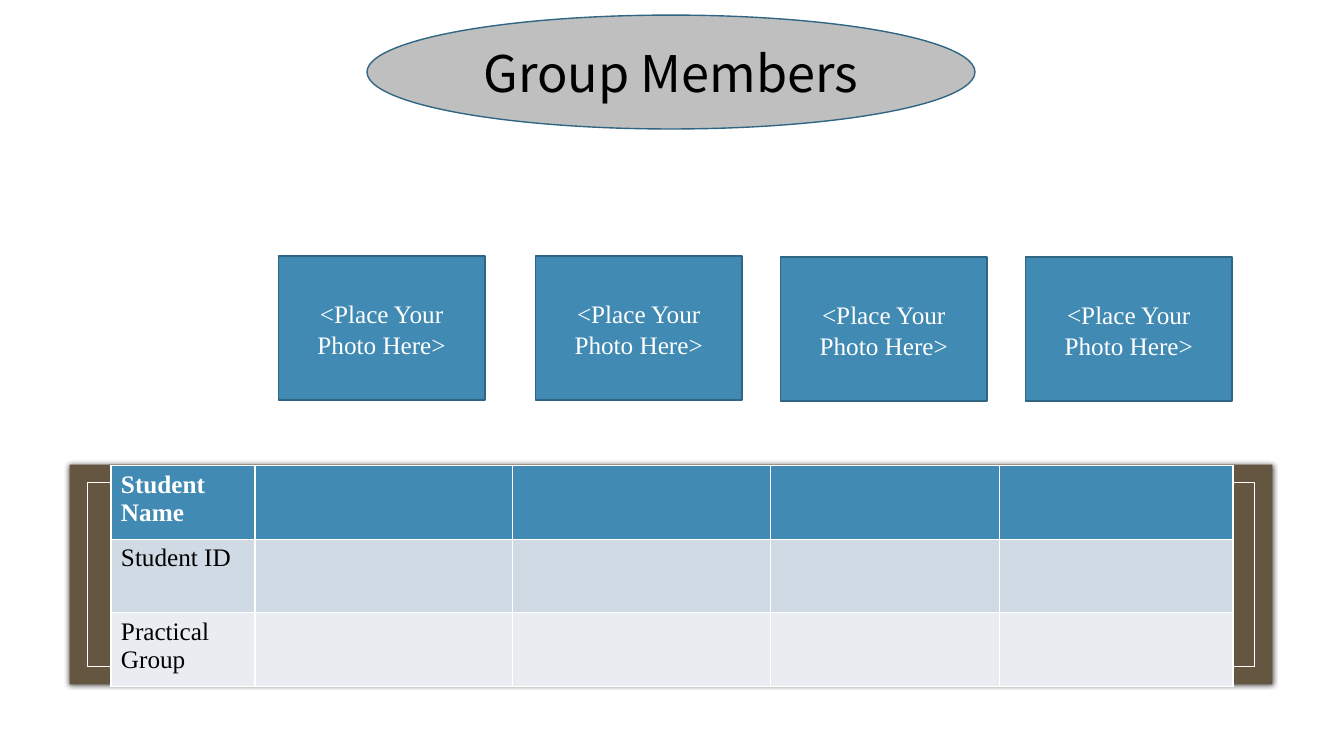
"""Build a slide that lists the members of a student group."""
from lxml import etree
from pptx import Presentation
from pptx.dml.color import RGBColor
from pptx.enum import shapes, text
from pptx.oxml import ns
from pptx.util import Inches, Pt

COLORS = {
    "white": "FFFFFF", "black": "000000", "grey": "BFBFBF", "brown": "655641",
    "blue": "418AB3", "outline": "306684", "row_dark": "CFDAE5", "row_light": "E9EDF2",
}
SERIF = "Times New Roman"


def add_box(kind, box, fill=None, line=None, width=1):
    shape = s.shapes.add_shape(kind, *map(Inches, box))
    shape.shadow.inherit = False
    if fill:
        shape.fill.solid()
        shape.fill.fore_color.rgb = RGBColor.from_string(COLORS[fill])
    else:
        shape.fill.background()
    if line:
        shape.line.color.rgb = RGBColor.from_string(COLORS[line])
        shape.line.width = Pt(width)
    else:
        shape.line.fill.background()
    return shape


def style(p, name, size, color, bold=False):
    p.font.name = name
    p.font.size = Pt(size)
    p.font.bold = bold
    p.font.color.rgb = RGBColor.from_string(COLORS[color])


prs = Presentation()
prs.slide_width, prs.slide_height = Inches(13.33), Inches(7.5)
s = prs.slides.add_slide(prs.slide_layouts[5])
s.background.fill.solid()
s.background.fill.fore_color.rgb = RGBColor.from_string(COLORS["white"])

RECT = shapes.MSO_SHAPE.RECTANGLE
panel = add_box(RECT, (0.69, 4.61, 11.93, 2.18), "brown")
effects = panel.element.spPr.find(ns.qn("a:effectLst"))
glow = etree.SubElement(effects, ns.qn("a:outerShdw"), blurRad=str(Pt(4)), dist="0", dir="0")
shade = etree.SubElement(glow, ns.qn("a:srgbClr"), val=COLORS["black"])
etree.SubElement(shade, ns.qn("a:alpha"), val="66000")
add_box(RECT, (0.87, 4.79, 11.57, 1.82), line="white", width=0.5)

title_box = (3.64, 0.15, 6.03, 1.13)
ellipse = add_box(shapes.MSO_SHAPE.OVAL, title_box, "grey", "outline")
title = s.shapes.title
title.left, title.top, title.width, title.height = map(Inches, title_box)
ellipse.element.addnext(title.element)
tf = title.text_frame
tf.text = "Group Members"
tf.auto_size = text.MSO_AUTO_SIZE.NONE
tf.vertical_anchor = text.MSO_ANCHOR.MIDDLE
tf.paragraphs[0].alignment = text.PP_ALIGN.CENTER
style(tf.paragraphs[0], "Noto Sans CJK SC", 36, "black")

rows = [
    ("Student Name", "blue", "white"),
    ("Student ID", "row_dark", "black"),
    ("Practical Group", "row_light", "black"),
]
widths = [1.43, 2.55, 2.56, 2.27, 2.32]
table = s.shapes.add_table(
    len(rows), len(widths), Inches(1.1), Inches(4.62), Inches(sum(widths)), Inches(2.18)
).table
for column, width in zip(table.columns, widths):
    column.width = Inches(width)
for i, (row, (label, fill, color)) in enumerate(zip(table.rows, rows)):
    row.height = Inches(0.73)
    for cell in row.cells:
        cell.fill.solid()
        cell.fill.fore_color.rgb = RGBColor.from_string(COLORS[fill])
    heading = row.cells[0]
    heading.text = label
    style(heading.text_frame.paragraphs[0], SERIF, 18, color, bold=i == 0)

for left, top in [(2.76, 2.54), (5.31, 2.54), (7.74, 2.55), (10.17, 2.55)]:
    photo = add_box(RECT, (left, top, 2.05, 1.43), "blue", "outline")
    tf = photo.text_frame
    tf.word_wrap = True
    tf.vertical_anchor = text.MSO_ANCHOR.MIDDLE
    p = tf.paragraphs[0]
    p.text = "<Place Your Photo Here>"
    p.alignment = text.PP_ALIGN.CENTER
    p.line_spacing = 1.05
    style(p, SERIF, 18, "white")

prs.save("out.pptx")
